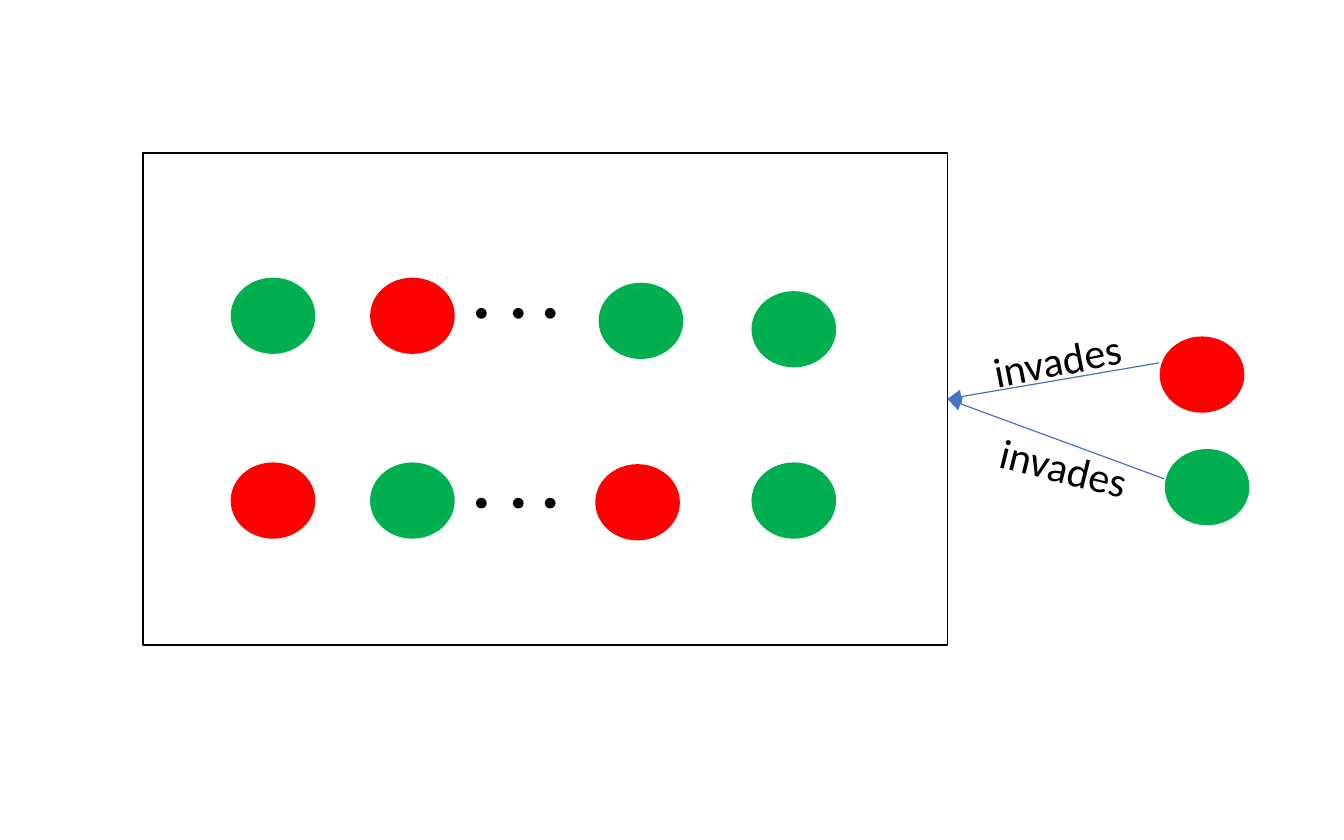
from lxml import etree
from pptx import Presentation
from pptx.dml.color import RGBColor
from pptx.enum import shapes, text
from pptx.oxml.ns import qn
from pptx.util import Inches, Pt

COLORS = {"green": "00B050", "red": "FF0000", "black": "000000", "arrow": "4472C4"}
AGENT_W, AGENT_H = 0.49, 0.44
DOT = 0.05
BOX_X, BOX_Y, BOX_W, BOX_H = 0.85, 0.91, 4.79, 2.93

prs = Presentation()
prs.slide_width, prs.slide_height = Inches(8), Inches(5)
s = prs.slides.add_slide(prs.slide_layouts[6])


def rgb(name):
    return RGBColor.from_string(COLORS[name])


def add_outline_shape(kind, x, y, w, h, line, width, fill=None):
    """Add a shadowless preset shape; without a fill colour it stays hollow."""
    sp = s.shapes.add_shape(kind, Inches(x), Inches(y), Inches(w), Inches(h))
    sp.shadow.inherit = False
    if fill:
        sp.fill.solid()
        sp.fill.fore_color.rgb = rgb(fill)
    else:
        sp.fill.background()
    sp.line.color.rgb = rgb(line)
    sp.line.width = Pt(width)


# Population box
add_outline_shape(shapes.MSO_SHAPE.RECTANGLE, BOX_X, BOX_Y, BOX_W, BOX_H, "black", 0.75)

# Residents: two rows of four, then the two invaders outside the box
residents = [
    (1.38, 1.66, "green"), (2.21, 1.66, "red"), (3.57, 1.69, "green"), (4.48, 1.74, "green"),
    (1.38, 2.76, "red"), (2.21, 2.76, "green"), (3.55, 2.77, "red"), (4.48, 2.76, "green"),
]
invaders = [(6.91, 2.01, "red"), (6.94, 2.68, "green")]
for x, y, color in residents + invaders:
    add_outline_shape(shapes.MSO_SHAPE.OVAL, x, y, AGENT_W, AGENT_H, color, 1, color)

# Ellipsis dots between the second and third column
for y in (1.84, 2.97):
    for x in (2.84, 3.06, 3.25):
        add_outline_shape(shapes.MSO_SHAPE.OVAL, x, y, DOT, DOT, "black", 1, "black")

# Arrows meet at the middle of the box's right edge
target_x, target_y = BOX_X + BOX_W, BOX_Y + BOX_H / 2
for x, y in ((6.9, 2.16), (6.93, 2.85)):
    arrow = s.shapes.add_connector(
        shapes.MSO_CONNECTOR.STRAIGHT,
        Inches(x), Inches(y), Inches(target_x), Inches(target_y))
    arrow.line.color.rgb = rgb("arrow")
    arrow.line.width = Pt(0.5)
    etree.SubElement(arrow.line._get_or_add_ln(), qn("a:tailEnd"), type="triangle")
    etree.SubElement(arrow._element.spPr, qn("a:effectLst"))

# Labels follow the slope of the arrows
for x, y, angle in ((5.81, 1.94, -11.1), (5.85, 2.58, 14)):
    label = s.shapes.add_textbox(Inches(x), Inches(y), Inches(0.98), Inches(0.4))
    label.rotation = angle
    tf = label.text_frame
    tf.word_wrap = False
    tf.auto_size = text.MSO_AUTO_SIZE.SHAPE_TO_FIT_TEXT
    tf.text = "invades"
    r = tf.paragraphs[0].runs[0]
    r.font.name = "Calibri"
    r.font.size = Pt(18)
    r.font.color.rgb = rgb("black")

prs.save("out.pptx")
